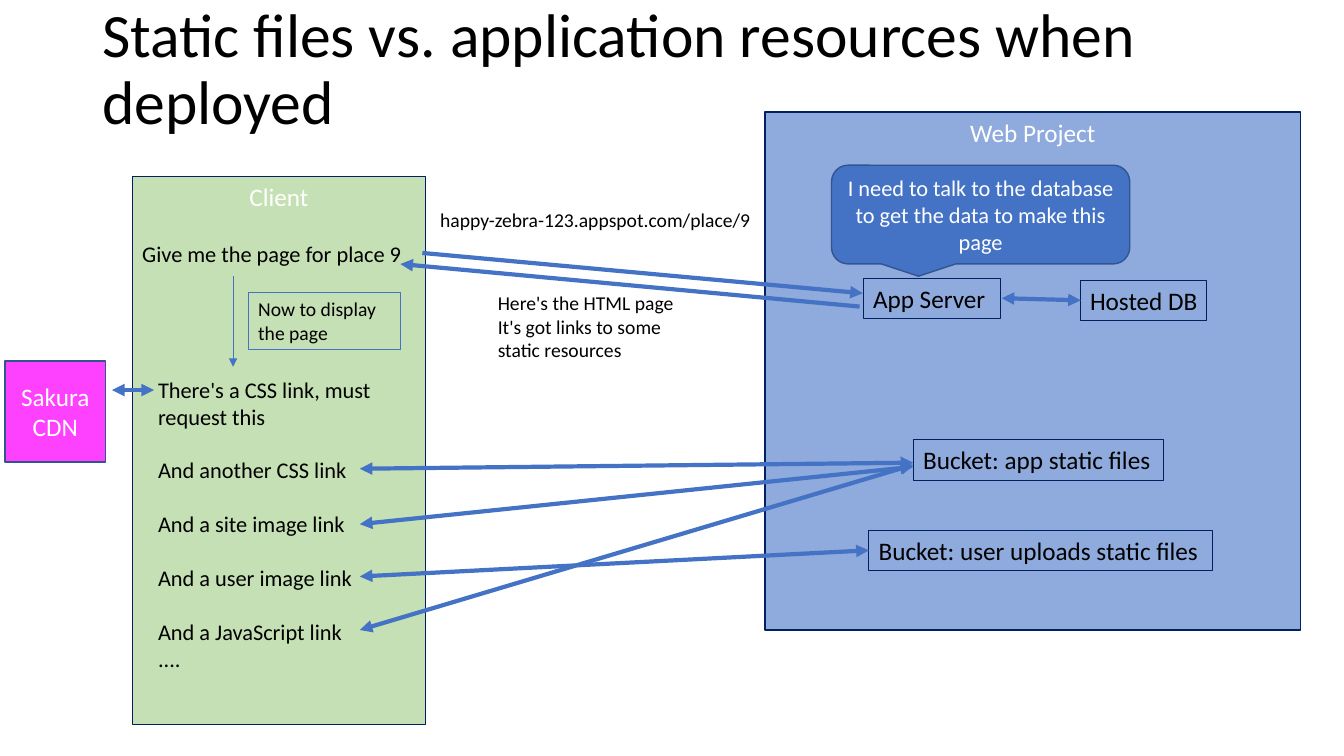
from dataclasses import dataclass

from lxml.etree import SubElement
from pptx import Presentation
from pptx.dml.color import RGBColor
from pptx.enum.shapes import MSO_CONNECTOR, MSO_SHAPE
from pptx.enum.text import MSO_ANCHOR, PP_ALIGN
from pptx.oxml.ns import qn
from pptx.slide import Slide
from pptx.util import Pt


@dataclass(frozen=True)
class Theme:
    font: str = "Calibri"
    black: str = "000000"
    white: str = "FFFFFF"
    green: str = "C5E0B4"
    pale_blue: str = "8FAADC"
    blue: str = "4472C4"
    edge_blue: str = "325491"
    navy: str = "002060"
    pink: str = "FE40FF"
    title: float = 44
    label: float = 18
    body: float = 16
    small: float = 14


THEME = Theme()


@dataclass(frozen=True)
class Block:
    """A piece of text, with or without a filled or outlined shape."""
    lines: tuple[str, ...]
    left: float
    top: float
    width: float
    height: float
    size: float = THEME.label
    color: str = THEME.black
    fill: str | None = None
    edge: str | None = None
    edge_width: float = 1
    shape: MSO_SHAPE = MSO_SHAPE.RECTANGLE
    centred: bool = False
    anchor: MSO_ANCHOR = MSO_ANCHOR.TOP
    wrap: bool = True
    line_spacing: float | None = None
    gaps: tuple[float, ...] = ()


@dataclass(frozen=True)
class Arrow:
    start: tuple[float, float]
    end: tuple[float, float]
    two_way: bool = True
    width: float = 3


def panel(name: str, left: float, top: float, width: float, height: float, fill: str) -> Block:
    return Block((name,), left, top, width, height, color=THEME.white,
                 fill=fill, edge=THEME.navy, centred=True)


def service(name: str, left: float, top: float, width: float) -> Block:
    return Block((name,), left, top, width, 29, edge=THEME.navy, edge_width=0.75, wrap=False)


REQUESTS = (
    "There's a CSS link, must request this",
    "And another CSS link",
    "And a site image link",
    "And a user image link",
    "And a JavaScript link",
    "....",
)
REQUEST_GAP = 19.2

BLOCKS = (
    Block(("Static files vs. application resources when deployed",), 66, -1.5, 828, 104.5,
          size=THEME.title, anchor=MSO_ANCHOR.MIDDLE, line_spacing=0.9),
    # The two sides
    panel("Client", 94.5, 126, 209.5, 391.5, THEME.green),
    panel("Web Project", 546.5, 80, 382.5, 370, THEME.pale_blue),
    # Services inside the project
    service("App Server", 616.5, 198.7, 98),
    service("Bucket: app static files", 652.3, 314, 178.7),
    service("Hosted DB", 771.5, 200, 90),
    service("Bucket: user uploads static files", 620.5, 378.7, 245.5),
    # Messages between the sides
    Block(("happy-zebra-123.appspot.com/place/9",), 307.3, 144.7, 248.5, 24.5, size=THEME.small),
    Block(("Here's the HTML page", "It's got links to some static resources"),
          348.5, 204.5, 163.5, 58.5, size=THEME.small),
    # Steps inside the client
    Block(("Give me the page for place 9",), 94.5, 168, 207.5, 26.5, size=THEME.body),
    Block(REQUESTS, 105.8, 265, 189.5, 220.5, size=THEME.body,
          gaps=(0,) + (REQUEST_GAP,) * 4 + (0,)),
    Block(("Now to display the page",), 177.3, 208.8, 108.7, 41, size=THEME.small,
          edge=THEME.blue, edge_width=0.75),
    # Outside style sheet host
    Block(("Sakura CDN",), 3.5, 258, 72, 72, color=THEME.white, fill=THEME.pink,
          edge=THEME.edge_blue, centred=True, anchor=MSO_ANCHOR.MIDDLE),
    # Speech of the server
    Block(("I need to talk to the database to get the data to make this page",),
          594, 118, 213, 70.5, size=THEME.body, color=THEME.white, fill=THEME.blue,
          edge=THEME.edge_blue, shape=MSO_SHAPE.ROUNDED_RECTANGULAR_CALLOUT,
          centred=True, anchor=MSO_ANCHOR.MIDDLE),
)

LINK_X = 257
ARROWS = (
    # Page request, answer and database query
    Arrow((715.5, 213), (772, 214.5)),
    Arrow((301.7, 180.7), (616.3, 209.5), two_way=False),
    Arrow((614, 219), (286, 188.6), two_way=False),
    Arrow((166.5, 197.3), (166.5, 262), two_way=False, width=0.5),
    # Links to static resources
    Arrow((80, 278.6), (110, 278.6)),
    Arrow((LINK_X, 334.8), (652.3, 330.5)),
    Arrow((LINK_X, 450), (652.3, 332)),
    Arrow((LINK_X, 411.8), (620.6, 393.1)),
    Arrow((LINK_X, 374.4), (652.3, 333.4)),
)


def add_block(page: Slide, block: Block) -> None:
    frame = Pt(block.left), Pt(block.top), Pt(block.width), Pt(block.height)
    if block.edge:
        box = page.shapes.add_shape(block.shape, *frame)
        box.shadow.inherit = False
        box.line.color.rgb = RGBColor.from_string(block.edge)
        box.line.width = Pt(block.edge_width)
        if block.fill:
            box.fill.solid()
            box.fill.fore_color.rgb = RGBColor.from_string(block.fill)
        else:
            box.fill.background()
    else:
        box = page.shapes.add_textbox(*frame)

    text_frame = box.text_frame
    text_frame.word_wrap = block.wrap
    text_frame.vertical_anchor = block.anchor
    text_frame.text = "\n".join(block.lines)
    for paragraph in text_frame.paragraphs:
        paragraph.alignment = PP_ALIGN.CENTER if block.centred else PP_ALIGN.LEFT
        if block.line_spacing:
            paragraph.line_spacing = block.line_spacing
        for span in paragraph.runs:
            span.font.name = THEME.font
            span.font.size = Pt(block.size)
            span.font.color.rgb = RGBColor.from_string(block.color)
    for paragraph, gap in zip(text_frame.paragraphs, block.gaps):
        if gap:
            paragraph.space_before = Pt(gap)


def add_arrow(page: Slide, arrow: Arrow) -> None:
    points = [Pt(value) for value in arrow.start + arrow.end]
    connector = page.shapes.add_connector(MSO_CONNECTOR.STRAIGHT, *points)
    connector.line.color.rgb = RGBColor.from_string(THEME.blue)
    connector.line.width = Pt(arrow.width)
    properties = connector.element.spPr
    outline = properties.find(qn("a:ln"))
    for tag in ("a:headEnd", "a:tailEnd") if arrow.two_way else ("a:tailEnd",):
        SubElement(outline, qn(tag), type="triangle")
    SubElement(properties, qn("a:effectLst"))


def main() -> None:
    deck = Presentation()
    deck.slide_width, deck.slide_height = Pt(960), Pt(540)
    page = deck.slides.add_slide(deck.slide_layouts[6])
    for block in BLOCKS:
        add_block(page, block)
    for arrow in ARROWS:
        add_arrow(page, arrow)
    deck.save("out.pptx")


if __name__ == "__main__":
    main()
